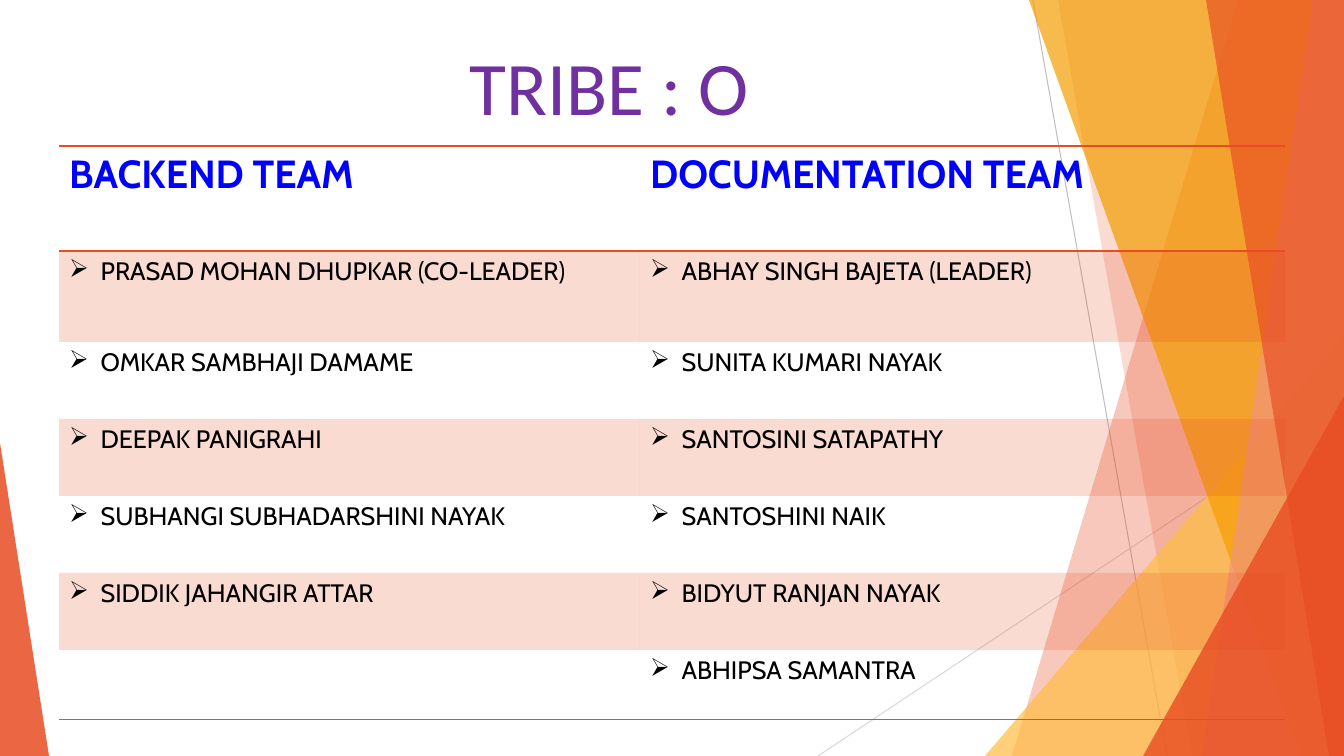
from lxml.etree import SubElement
from pptx import Presentation
from pptx.dml.color import RGBColor
from pptx.enum.shapes import MSO_CONNECTOR, MSO_SHAPE
from pptx.enum.text import PP_ALIGN
from pptx.oxml.ns import qn
from pptx.util import Emu, Pt

PX = 914400 / 100.8
WIDE, HIGH = 1344, 756
NO_GRID = "{2D5ABB26-0587-4C30-8999-92F81FD0307C}"

HUES = {"red": "E84C22", "gold": "FFBD47", "amber": "F49D00", "rose": "F1947A",
        "gray": "BFBFBF", "pale": "D9D9D9", "purple": "7030A0",
        "blue": "0000FF", "black": "000000"}

TITLE = "TRIBE : O"
TEAMS = {
    "BACKEND TEAM": [
        "PRASAD MOHAN DHUPKAR (CO-LEADER)", "OMKAR SAMBHAJI DAMAME",
        "DEEPAK PANIGRAHI", "SUBHANGI SUBHADARSHINI NAYAK",
        "SIDDIK JAHANGIR ATTAR", ""],
    "DOCUMENTATION TEAM": [
        "ABHAY SINGH BAJETA (LEADER)", "SUNITA KUMARI NAYAK",
        "SANTOSINI SATAPATHY", "SANTOSHINI NAIK",
        "BIDYUT RANJAN NAYAK", "ABHIPSA SAMANTRA"],
}
COLS = [581, 645]
ROWS = [105, 91, 77, 77, 77, 77, 70]

# x1, y1, x2, y2, hue
RAYS = [(1033, 0, 1167, HIGH, "gray"), (WIDE, 406, 818, HIGH, "pale")]
# "band": left edge at top and at bottom; "peak": box and apex position
DECOR = [
    ("band", (1238, 1012), "red", 30),
    ("band", (1058, 1192), "red", 20),
    ("peak", (985, 336, 359, 420, 1), "gold", 72),
    ("band", (1029, 1301), "amber", 70),
    ("band", (1313, 1202), "rose", 70),
    ("band", (1206, 1329), "red", 65),
    ("peak", (1143, 396, 201, 360, 1), "red", 80),
    ("peak", (0, 443, 49, 313, 0), "red", 85),
]


def px(*sizes):
    return [Emu(round(size * PX)) for size in sizes]


def color(hue):
    return RGBColor.from_string(HUES[hue])


def tint(fill, node, hue, alpha):
    """Fill with a hue at the given percentage of opacity."""
    fill.solid()
    fill.fore_color.rgb = color(hue)
    tone = node.find(qn("a:solidFill")).find(qn("a:srgbClr"))
    SubElement(tone, qn("a:alpha"), val=str(alpha * 1000))


def style(para, face, size, hue, bold=False):
    font = para.font
    font.name, font.size, font.bold = face, Pt(size), bold
    font.color.rgb = color(hue)


def edge(cell, side):
    line = SubElement(cell._tc.get_or_add_tcPr(), qn("a:ln" + side), w="12700")
    SubElement(SubElement(line, qn("a:solidFill")), qn("a:srgbClr"), val=HUES["red"])


def bullet(para):
    props = para._p.get_or_add_pPr()
    props.set("marL", "285750")
    props.set("indent", "-285750")
    mark = props.makeelement(qn("a:buChar"), {"char": "➢"})
    props.insert(0, mark)


def draw_decor(shapes):
    for *ends, hue in RAYS:
        ray = shapes.add_connector(MSO_CONNECTOR.STRAIGHT, *px(*ends))
        ray.line.color.rgb = color(hue)
        ray.line.width = Pt(0.75)
        SubElement(ray._element.spPr, qn("a:effectLst"))
    for kind, place, hue, alpha in DECOR:
        if kind == "band":
            top, base = place
            outline = shapes.build_freeform(top, 0, PX)
            outline.add_line_segments([(WIDE, 0), (WIDE, HIGH), (base, HIGH)])
            shape = outline.convert_to_shape()
        else:
            *box, apex = place
            shape = shapes.add_shape(MSO_SHAPE.ISOSCELES_TRIANGLE, *px(*box))
            shape.adjustments[0] = apex
        shape.shadow.inherit = False
        shape.line.fill.background()
        tint(shape.fill, shape._element.spPr, hue, alpha)


def draw_title(shapes):
    frame = shapes.add_textbox(*px(261, 35, 697, 102)).text_frame
    frame.word_wrap = True
    para = frame.paragraphs[0]
    para.text, para.alignment = TITLE, PP_ALIGN.CENTER
    style(para, "Calibri", 54, "purple")


def draw_teams(shapes):
    frame = shapes.add_table(len(ROWS), len(COLS),
                             *px(59, 146, sum(COLS), sum(ROWS)))
    table = frame.table
    table.first_row = table.horz_banding = False
    table._tbl.tblPr.find(qn("a:tableStyleId")).text = NO_GRID
    for col, width in zip(table.columns, px(*COLS)):
        col.width = width
    for row, height in zip(table.rows, px(*ROWS)):
        row.height = height
    for c, (team, names) in enumerate(TEAMS.items()):
        for r, text in enumerate([team, *names]):
            cell = table.cell(r, c)
            para = cell.text_frame.paragraphs[0]
            para.text = text
            if r == 0:
                para.alignment = PP_ALIGN.JUSTIFY
                style(para, "Cabin", 28, "blue", True)
                edge(cell, "T")
            else:
                style(para, "Cabin", 18, "black")
                if text:
                    bullet(para)
            if r in (0, len(names)):
                edge(cell, "B")
            if r % 2:
                tint(cell.fill, cell._tc.tcPr, "red", 20)
            else:
                cell.fill.background()


def main():
    deck = Presentation()
    deck.slide_width, deck.slide_height = px(WIDE, HIGH)
    shapes = deck.slides.add_slide(deck.slide_layouts[6]).shapes
    draw_decor(shapes)
    draw_title(shapes)
    draw_teams(shapes)
    deck.save("out.pptx")


if __name__ == "__main__":
    main()
